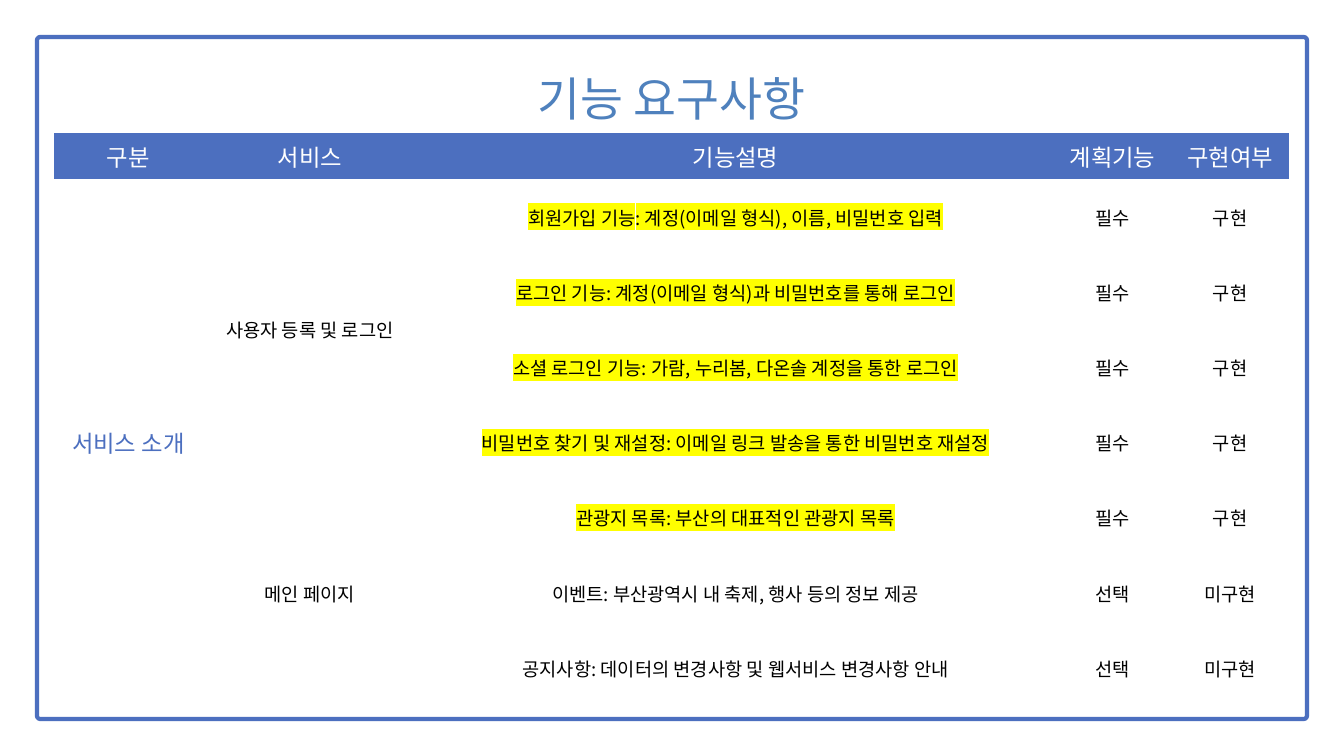
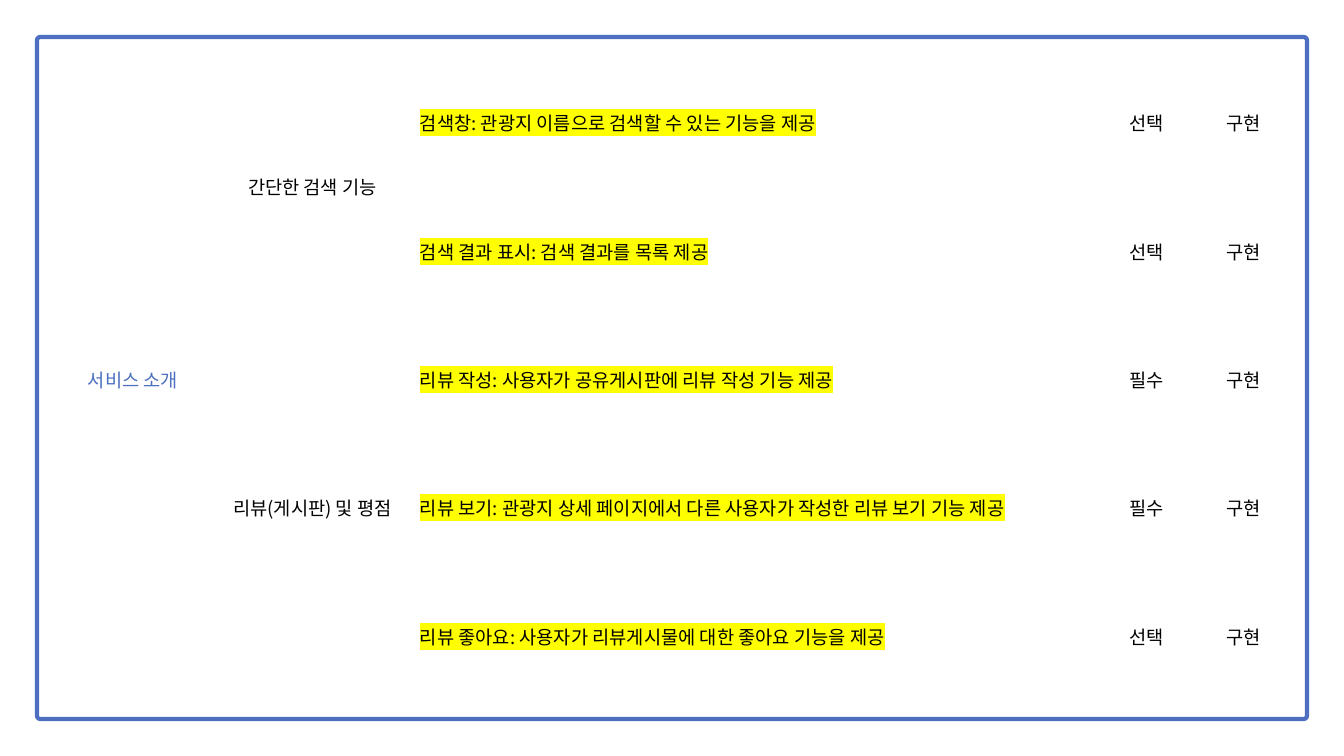
from lxml.etree import SubElement
from pptx import Presentation
from pptx.dml.color import RGBColor as Rgb
from pptx.enum.shapes import MSO_SHAPE as Shape
from pptx.enum.text import MSO_ANCHOR as Anchor, PP_ALIGN as Align
from pptx.oxml.ns import qn
from pptx.util import Pt

PX = 9144  # 100 px to the inch
FONT = "Noto Sans CJK KR"
PLAIN = "{2D5ABB26-0587-4C30-8999-92F81FD0307C}"  # table style without lines
COLORS = {"blue": "4C6FBF", "title": "4F81BD", "white": "FFFFFF",
          "black": "000000", "mark": "FFFF00"}
LEFT, TOP = 81, 87
DONE = "구현"

TITLE = "기능 요구사항"
HEADS = ["구분", "서비스", "기능설명", "계획기능", "구현여부"]
# An empty cell belongs to the cell above it.
LOGIN = [
    ["서비스 소개", "사용자 등록 및 로그인",
     "회원가입 기능: 계정(이메일 형식), 이름, 비밀번호 입력", "필수", DONE],
    ["", "", "로그인 기능: 계정(이메일 형식)과 비밀번호를 통해 로그인", "필수", DONE],
    ["", "", "소셜 로그인 기능: 가람, 누리봄, 다온솔 계정을 통한 로그인", "필수", DONE],
    ["", "", "비밀번호 찾기 및 재설정: 이메일 링크 발송을 통한 비밀번호 재설정",
     "필수", DONE],
    ["", "메인 페이지", "관광지 목록: 부산의 대표적인 관광지 목록", "필수", DONE],
    ["", "", "이벤트: 부산광역시 내 축제, 행사 등의 정보 제공", "선택", "미구현"],
    ["", "", "공지사항: 데이터의 변경사항 및 웹서비스 변경사항 안내", "선택", "미구현"],
]
REVIEW = [
    ["서비스 소개", "간단한 검색 기능",
     "검색창: 관광지 이름으로 검색할 수 있는 기능을 제공", "선택", DONE],
    ["", "", "검색 결과 표시: 검색 결과를 목록 제공", "선택", DONE],
    ["", "리뷰(게시판) 및 평점",
     "리뷰 작성: 사용자가 공유게시판에 리뷰 작성 기능 제공", "필수", DONE],
    ["", "", "리뷰 보기: 관광지 상세 페이지에서 다른 사용자가 작성한 리뷰 보기 기능 제공",
     "필수", DONE],
    ["", "", "리뷰 좋아요: 사용자가 리뷰게시물에 대한 좋아요 기능을 제공", "선택", DONE],
]


def rgb(name):
    return Rgb.from_string(COLORS[name])


def write(cell, text, size=20, color="black", align=Align.CENTER, mark=False):
    cell.vertical_anchor = Anchor.MIDDLE
    para = cell.text_frame.paragraphs[0]
    para.alignment = align
    run = para.add_run()
    run.text = text
    font = run.font
    font.size = Pt(size)
    font.color.rgb = rgb(color)
    props = run._r.get_or_add_rPr()
    if mark:
        light = SubElement(props, qn("a:highlight"))
        SubElement(light, qn("a:srgbClr"), val=COLORS["mark"])
    font.name = FONT
    SubElement(props, qn("a:ea"), typeface=FONT)


def add_frame(slide):
    box = slide.shapes.add_shape(Shape.ROUNDED_RECTANGLE,
                                 55 * PX, 55 * PX, 1890 * PX, 1015 * PX)
    box.adjustments[0] = 5 / 1015
    box.shadow.inherit = False
    box.fill.solid()
    box.fill.fore_color.rgb = rgb("white")
    box.line.color.rgb = rgb("blue")
    box.line.width = Pt(4.5)


def add_grid(slide, widths, heights):
    frame = slide.shapes.add_table(len(heights), len(widths), LEFT * PX, TOP * PX,
                                   sum(widths) * PX, sum(heights) * PX)
    for style in frame.element.iter(qn("a:tableStyleId")):
        style.text = PLAIN
    table = frame.table
    table.first_row = table.horz_banding = False
    for col, width in zip(table.columns, widths):
        col.width = width * PX
    for row, height in zip(table.rows, heights):
        row.height = height * PX
    for cell in table.iter_cells():
        cell.fill.background()
    return table


def fill_head(table):
    table.cell(0, 0).merge(table.cell(0, len(HEADS) - 1))
    write(table.cell(0, 0), TITLE, size=50, color="title")
    for col, head in enumerate(HEADS):
        cell = table.cell(1, col)
        cell.fill.solid()
        cell.fill.fore_color.rgb = rgb("blue")
        write(cell, head, size=25, color="white")


def fill_rows(table, rows, start=0, size=20, align=Align.CENTER):
    """Write rows from start on; size is for the first column, align for the third."""
    for num, row in enumerate(rows):
        for col, text in enumerate(row):
            if not text:
                continue
            end = num + 1
            while end < len(rows) and not rows[end][col]:
                end += 1
            cell = table.cell(start + num, col)
            if end > num + 1:
                cell.merge(table.cell(start + end - 1, col))
            if col == 0:
                write(cell, text, size=size, color="blue")
            elif col == 2:
                write(cell, text, align=align, mark=row[-1] == DONE)
            else:
                write(cell, text)


def main():
    deck = Presentation()
    deck.slide_width, deck.slide_height = 2000 * PX, 1125 * PX
    blank = deck.slide_layouts[6]

    login = deck.slides.add_slide(blank)
    add_frame(login)
    table = add_grid(login, [220, 320, 947, 175, 175], [105, 69] + [112] * len(LOGIN))
    fill_head(table)
    fill_rows(table, LOGIN, start=2, size=25)

    review = deck.slides.add_slide(blank)
    add_frame(review)
    table = add_grid(review, [234, 300, 1014, 155, 134], [191] * len(REVIEW))
    fill_rows(table, REVIEW, align=Align.LEFT)

    deck.save("out.pptx")


if __name__ == "__main__":
    main()
